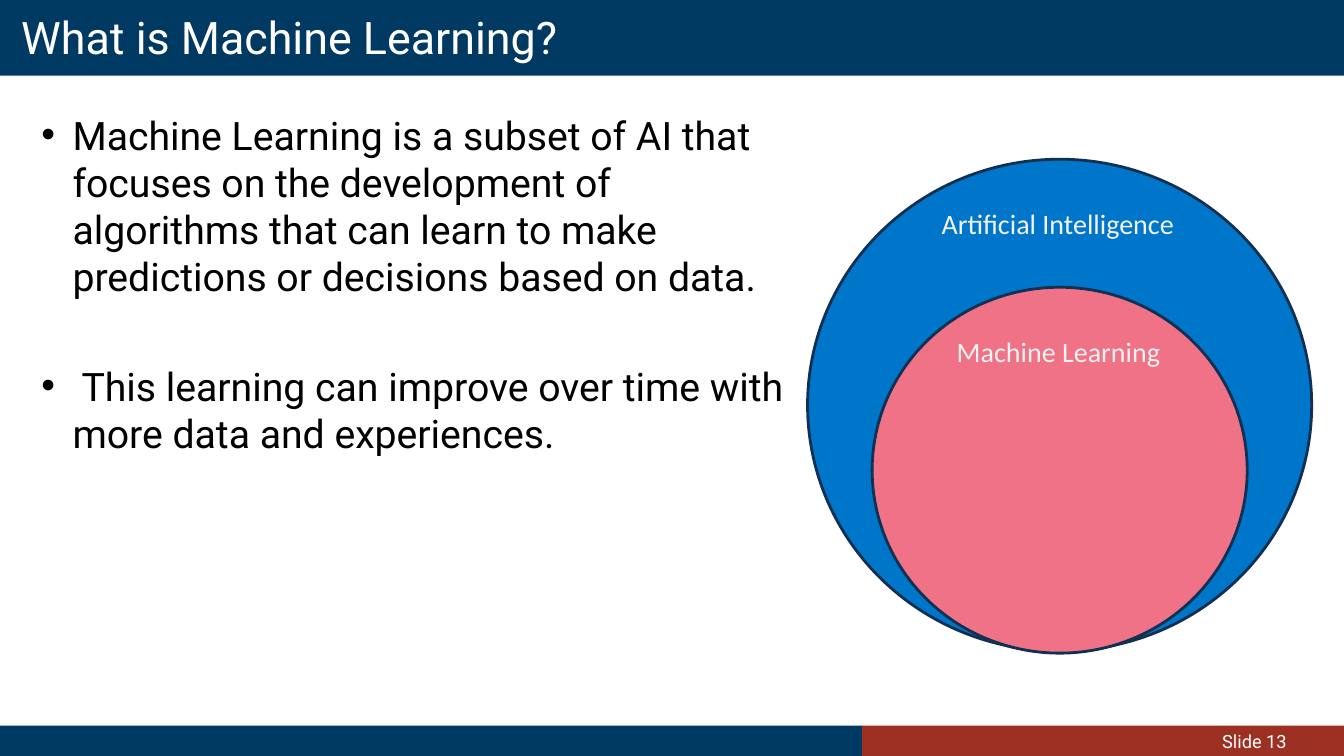
from pptx import Presentation
from pptx.dml.color import RGBColor
from pptx.enum.shapes import MSO_SHAPE as Shape
from pptx.enum.text import MSO_ANCHOR as Anchor, MSO_AUTO_SIZE as AutoSize, PP_ALIGN as Align
from pptx.util import Inches, Pt

TITLE = "What is Machine Learning?"
BULLETS = [
    "Machine Learning is a subset of AI that focuses on the development of "
    "algorithms that can learn to make predictions or decisions based on data.",
    " This learning can improve over time with more data and experiences.",
]
FOOTER = "Slide 13"

WIDTH, HEIGHT = 13.33, 7.5
HEADER_HEIGHT, FOOTER_HEIGHT = 0.75, 0.3
FOOTER_TOP, FOOTER_SPLIT = HEIGHT - FOOTER_HEIGHT, 8.55
NAVY, RED, WHITE, BLACK = "003A63", "9C3022", "FFFFFF", "000000"
OUTLINE, LABEL = "123052", "F2F2F2"
FIRST_GAP, BULLET_GAP = 5.6, 44.8

# box (left, top, width, height), fill
BARS = [
    ((0, 0, WIDTH, HEADER_HEIGHT), NAVY),
    ((0, FOOTER_TOP, FOOTER_SPLIT, FOOTER_HEIGHT), NAVY),
    ((FOOTER_SPLIT, FOOTER_TOP, WIDTH - FOOTER_SPLIT, FOOTER_HEIGHT), RED),
]
# label, circle box, fill, label box
CIRCLES = [
    ("Artificial Intelligence", (8.01, 1.58, 5, 4.88), "0076CA", (9.24, 2, 2.55, 0.44)),
    ("Machine Learning", (8.65, 2.85, 3.72, 3.63), "F07286", (9.39, 3.27, 2.24, 0.44)),
]


def color(hex_value):
    return RGBColor.from_string(hex_value)


def place(shape, box):
    shape.left, shape.top, shape.width, shape.height = map(Inches, box)


def set_frame(frame, inset_x, inset_y, anchor=Anchor.TOP, wrap=True):
    frame.auto_size = AutoSize.NONE
    frame.word_wrap = wrap
    frame.vertical_anchor = anchor
    frame.margin_left = frame.margin_right = Inches(inset_x)
    frame.margin_top = frame.margin_bottom = Inches(inset_y)


def add_run(paragraph, text, size, hex_value, font="Roboto", align=Align.LEFT):
    paragraph.alignment = align
    run = paragraph.add_run()
    run.text = text
    run.font.size = Pt(size)
    run.font.name = font
    run.font.color.rgb = color(hex_value)


def add_filled(slide, kind, box, fill, line=None):
    shape = slide.shapes.add_shape(kind, *map(Inches, box))
    shape.shadow.inherit = False
    shape.fill.solid()
    shape.fill.fore_color.rgb = color(fill)
    if line:
        shape.line.color.rgb = color(line)
        shape.line.width = Pt(2)
    else:
        shape.line.fill.background()
    return shape


def add_title(slide):
    title = slide.shapes.title
    place(title, (0.11, 0, WIDTH - 0.11, 0.73))
    set_frame(title.text_frame, 0.1, 0.1, Anchor.MIDDLE)
    add_run(title.text_frame.paragraphs[0], TITLE, 32, WHITE)


def add_bullets(slide):
    body = slide.placeholders[1]
    place(body, (0.11, 1, 7.89, 6.08))
    frame = body.text_frame
    set_frame(frame, 0.1, 0.1)
    for index, text in enumerate(BULLETS):
        paragraph = frame.add_paragraph() if index else frame.paragraphs[0]
        paragraph.space_before = Pt(BULLET_GAP if index else FIRST_GAP)
        add_run(paragraph, text, 28, BLACK)
        properties = paragraph._p.get_or_add_pPr()
        properties.set("marL", str(Inches(0.51)))
        properties.set("indent", str(Inches(-0.31)))


def add_circles(slide):
    for text, circle_box, fill, label_box in CIRCLES:
        add_filled(slide, Shape.OVAL, circle_box, fill, OUTLINE)
        label = slide.shapes.add_textbox(*map(Inches, label_box))
        set_frame(label.text_frame, 0.1, 0.05, wrap=False)
        add_run(label.text_frame.paragraphs[0], text, 20, LABEL, "Calibri")


def main():
    presentation = Presentation()
    presentation.slide_width, presentation.slide_height = Inches(WIDTH), Inches(HEIGHT)
    slide = presentation.slides.add_slide(presentation.slide_layouts[1])
    add_title(slide)
    add_bullets(slide)

    # Bars go behind the title
    for box, fill in BARS:
        bar = add_filled(slide, Shape.RECTANGLE, box, fill)
        slide.shapes.title.element.addprevious(bar.element)
    footer = slide.shapes.add_textbox(*map(Inches, BARS[-1][0]))
    set_frame(footer.text_frame, 0.1, 0.05, Anchor.MIDDLE)
    footer.text_frame.margin_right = Inches(0.57)
    add_run(footer.text_frame.paragraphs[0], FOOTER, 13, WHITE, align=Align.RIGHT)

    add_circles(slide)
    presentation.save("out.pptx")


if __name__ == "__main__":
    main()
